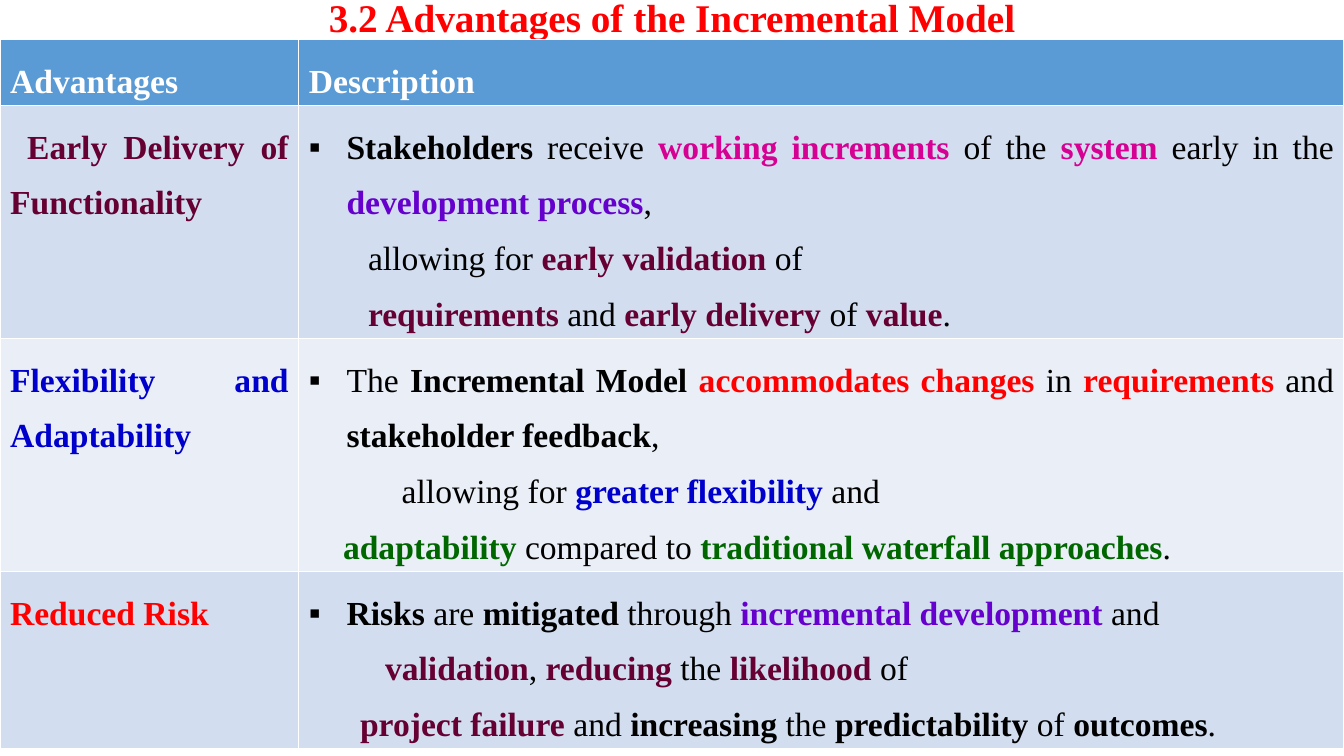
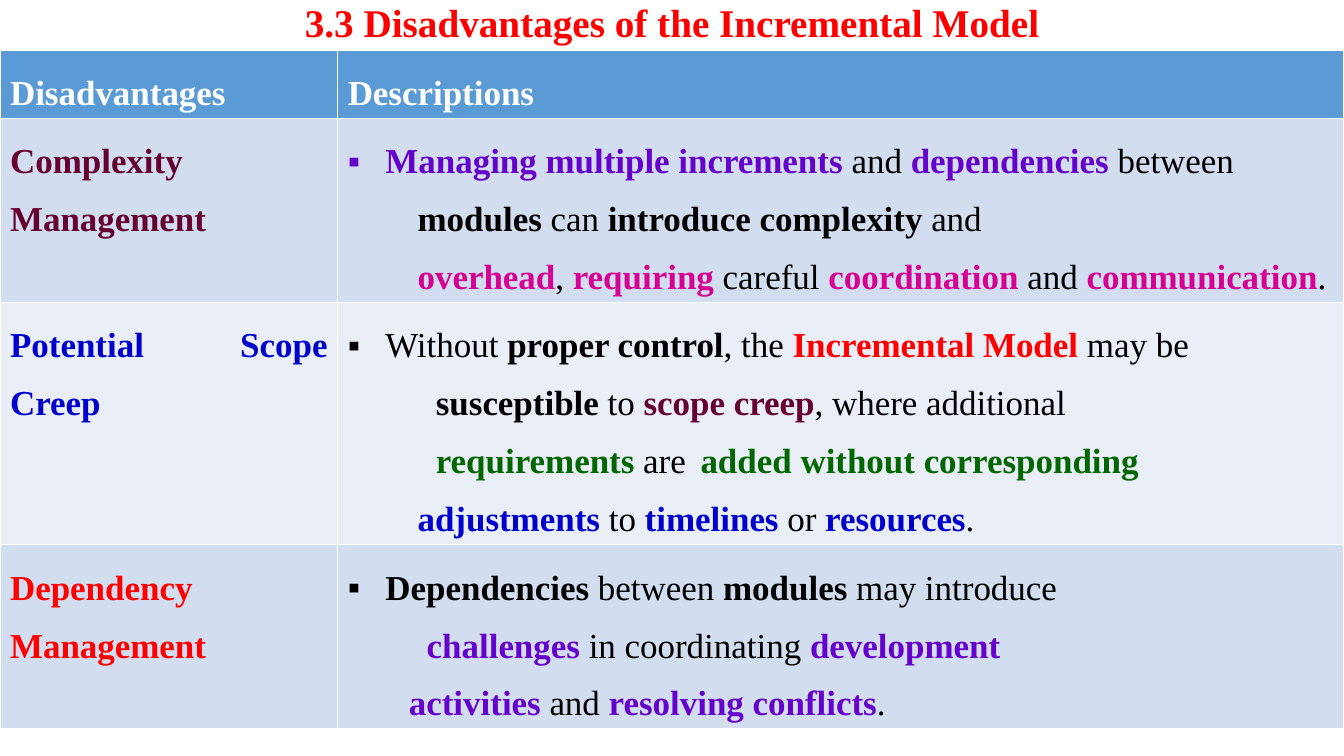
from lxml import etree
from pptx import Presentation
from pptx.dml.color import RGBColor
from pptx.enum.text import MSO_ANCHOR, MSO_AUTO_SIZE, PP_ALIGN
from pptx.oxml.ns import qn
from pptx.util import Cm, Pt

CENTER = PP_ALIGN.CENTER
JUSTIFY = PP_ALIGN.JUSTIFY
MIDDLE = MSO_ANCHOR.MIDDLE
NO_FIT = MSO_AUTO_SIZE.NONE

FONT = "Times New Roman"
WIDE, HIGH = 33.87, 19.05
HEX = {
    "black": "000000", "white": "FFFFFF", "red": "FF0000",
    "wine": "660033", "pink": "D60093", "violet": "6600CC",
    "blue": "0000CC", "green": "006600",
    "head": "5B9BD5", "odd": "D2DEEF", "even": "EAEFF7",
}

GAINS = [
    ("[wine:Early Delivery of Functionality]", 0.43, [
        (0, "[black:Stakeholders] receive [pink:working increments] of the "
            "[pink:system] early in the [violet:development process],"),
        (1.49, "allowing for [wine:early validation] of"),
        (1.49, "[wine:requirements] and [wine:early delivery] of [wine:value]."),
    ], 4),
    ("[blue:Flexibility and Adaptability]", 0, [
        (0, "The [black:Incremental Model ][red:accommodates changes] in "
            "[red:requirements] and [black:stakeholder feedback],"),
        (2.34, "allowing for [blue:greater flexibility] and"),
        (0.86, "[green:adaptability] compared to "
               "[green:traditional waterfall approaches]."),
    ], 4),
    ("[red:Reduced Risk]", 0, [
        (0, "[black:Risks] are [black:mitigated] through "
            "[violet:incremental development] and"),
        (1.92, "[wine:validation], [wine:reducing] the [wine:likelihood] of"),
        (1.29, "[wine:project failure] and [black:increasing] the "
               "[black:predictability] of [black:outcomes]."),
    ], 3),
]

FLAWS = [
    ("[wine:Complexity Management]", 0, [
        (0, "[violet:Managing multiple increments] and "
            "[violet:dependencies] between"),
        (1.76, "[black:modules] can [black:introduce complexity] and"),
        (1.76, "[pink:overhead], [pink:requiring] careful "
               "[pink:coordination] and [pink:communication]."),
    ], 3),
    ("[blue:Potential Scope Creep]", 0, [
        (0, "Without [black:proper control], the "
            "[red:Incremental Model] may be"),
        (2.22, "[black:susceptible] to [wine:scope creep], where additional"),
        (2.22, "[green:requirements] are\t[green:added without corresponding]"),
        (1.76, "[blue:adjustments] to [blue:timelines] or [blue:resources]."),
    ], 4),
    ("[red:Dependency Management]", 0, [
        (0, "[black:Dependencies] between [black:modules] may introduce"),
        (1.99, "[violet:challenges] in coordinating [violet:development]"),
        (1.54, "[violet:activities] and [violet:resolving conflicts]."),
    ], 3),
]


def color(name):
    return RGBColor.from_string(HEX[name])


def add_run(para, text, size, tint, bold):
    run = para.add_run()
    run.text = text
    font = run.font
    font.name, font.size, font.bold = FONT, Pt(size), bold
    font.color.rgb = color(tint)


def write(para, text, size=24, align=JUSTIFY, space=1.5, indent=0,
          bullet=None, tab=None):
    props = para._p.get_or_add_pPr()
    props.set("marL", str(Cm(0.95) if bullet else 0))
    props.set("indent", str(Cm(-0.95) if bullet else Cm(indent)))
    if bullet:
        etree.SubElement(props, qn("a:buFont"), typeface=FONT)
        etree.SubElement(props, qn("a:buChar"), char=bullet)
    if tab:
        stops = etree.SubElement(props, qn("a:tabLst"))
        etree.SubElement(stops, qn("a:tab"), pos=str(Cm(tab)), algn="l")
    para.alignment, para.line_spacing = align, space
    for chunk in text.split("["):
        strong, mark, plain = chunk.rpartition("]")
        if mark:
            tint, words = strong.split(":", 1)
            add_run(para, words, size, tint, True)
        if plain:
            add_run(para, plain, size, "black", False)


def add_title(slide, text, height):
    title = slide.shapes.title
    title.left, title.top = Cm(2.33), Cm(0)
    title.width, title.height = Cm(29.21), Cm(height)
    frame = title.text_frame
    frame.auto_size, frame.vertical_anchor = NO_FIT, MIDDLE
    frame.word_wrap = True
    write(frame.paragraphs[0], f"[red:{text}]", size=28, align=CENTER, space=0.9)


def fill_cell(cell, shade, lines, size, bullet=None):
    cell.fill.solid()
    cell.fill.fore_color.rgb = color(shade)
    frame = cell.text_frame
    for i, (indent, text) in enumerate(lines):
        para = frame.add_paragraph() if i else frame.paragraphs[0]
        write(para, text, size=size, indent=indent,
              bullet=None if i else bullet, tab=9.83 if "\t" in text else None)


def add_grid(slide, top, first, heads, rows, size):
    counts = [1] + [row[3] for row in rows]
    highs = [Cm(round(n * size * 0.0585 + 0.22, 2)) for n in counts]
    table = slide.shapes.add_table(
        len(counts), 2, Cm(0), Cm(top), Cm(WIDE), sum(highs)).table
    for column, width in zip(table.columns, (first, WIDE - first)):
        column.width = Cm(width)
    for row, high in zip(table.rows, highs):
        row.height = high
    for i, head in enumerate(heads):
        fill_cell(table.cell(0, i), "head", [(0, f"[white:{head}]")], size)
    for i, (name, indent, lines, _) in enumerate(rows, 1):
        shade = "odd" if i % 2 else "even"
        fill_cell(table.cell(i, 0), shade, [(indent, name)], size)
        fill_cell(table.cell(i, 1), shade, lines, size, bullet="▪")


def add_page(deck, title, top, first, heads, rows, size):
    slide = deck.slides.add_slide(deck.slide_layouts[5])
    add_title(slide, title, top)
    add_grid(slide, top, first, heads, rows, size)


def main():
    deck = Presentation()
    deck.slide_width, deck.slide_height = Cm(WIDE), Cm(HIGH)
    add_page(deck, "3.2 Advantages of the Incremental Model", 1, 7.53,
             ("Advantages", "Description"), GAINS, 24)
    add_page(deck, "3.3 Disadvantages of the Incremental Model", 1.27, 8.51,
             ("Disadvantages", "Descriptions"), FLAWS, 25)
    deck.save("out.pptx")


if __name__ == "__main__":
    main()
